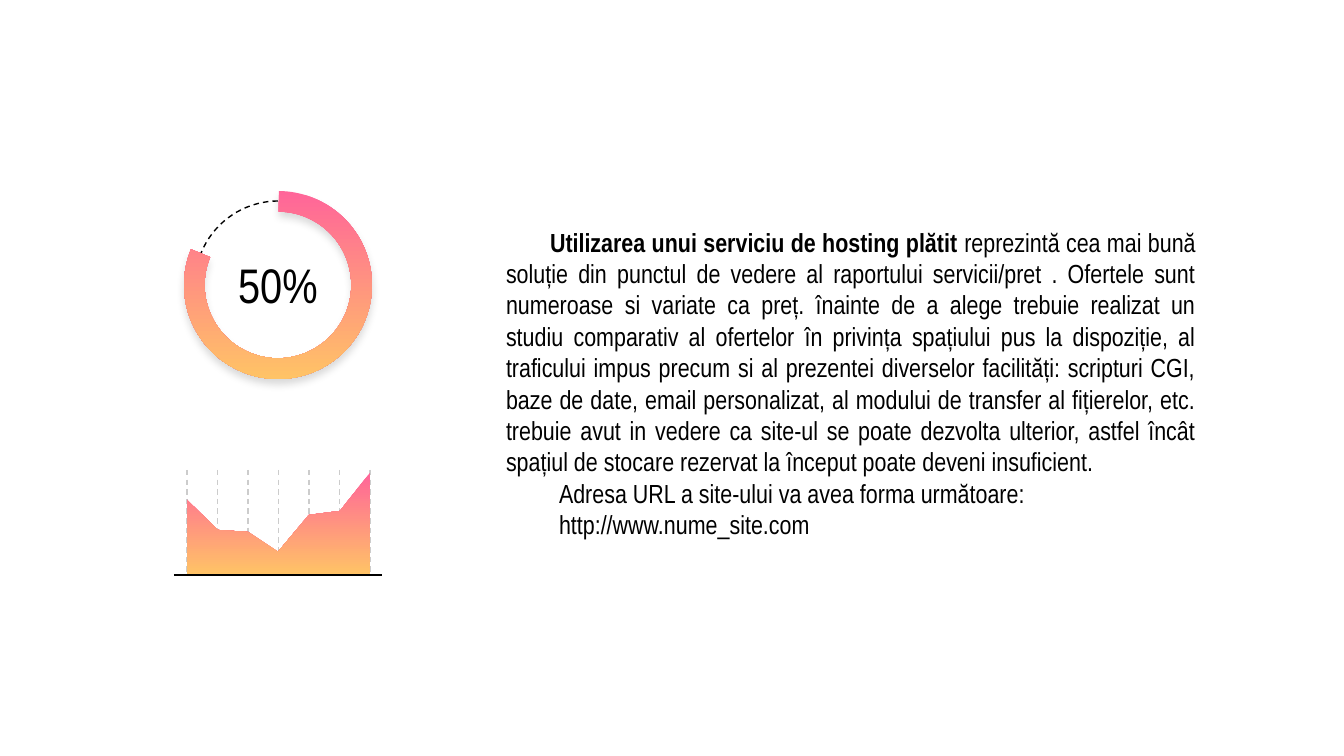
from lxml.etree import SubElement
from pptx import Presentation
from pptx.dml.color import RGBColor
from pptx.enum.dml import MSO_LINE_DASH_STYLE as DASH
from pptx.enum.shapes import MSO_CONNECTOR, MSO_SHAPE as SHAPE
from pptx.enum.text import MSO_ANCHOR as ANCHOR, MSO_AUTO_SIZE, PP_ALIGN as ALIGN
from pptx.oxml.ns import qn
from pptx.util import Pt

EMU_PER_PX = 914400 / 134.4
FONT = "Arial Narrow"
COLORS = {"ink": "000000", "grid": "CCCCCC", "top": "FF6599", "bottom": "FFC366"}
PARAGRAPHS = [
    (44, [("Utilizarea unui serviciu de hosting plătit", True),
          (" reprezintă cea mai bună soluție din punctul de vedere al raportului "
           "servicii/pret . Ofertele sunt numeroase si variate ca preț. înainte de a alege "
           "trebuie realizat un studiu comparativ al ofertelor în privința spațiului pus la "
           "dispoziție, al traficului impus precum si al prezentei diverselor facilități: "
           "scripturi CGI, baze de date, email personalizat, al modului de transfer al "
           "fițierelor, etc. trebuie avut in vedere ca site-ul se poate dezvolta ulterior, "
           "astfel încât spațiul de stocare rezervat la început poate deveni insuficient.",
           False)]),
    (53, [("Adresa URL a site-ului va avea forma următoare:", False)]),
    (53, [("http://www.nume_site.com", False)]),
]
AREA_TOPS = [500, 530, 532, 552, 515, 511, 473]
AREA_LEFT, AREA_RIGHT, GRID_TOP, BASELINE = 187, 370, 470, 575


def px(n):
    return round(n * EMU_PER_PX)


def rgb(name):
    return RGBColor.from_string(COLORS[name])


def format_run(r, size, bold=False):
    r.font.name = FONT
    r.font.size = Pt(size)
    r.font.bold = bold
    r.font.color.rgb = rgb("ink")


def format_frame(tf, bottom=13):
    tf.word_wrap = True
    tf.auto_size = MSO_AUTO_SIZE.NONE
    tf.vertical_anchor = ANCHOR.MIDDLE
    tf.margin_left = tf.margin_right = tf.margin_top = px(13)
    tf.margin_bottom = px(bottom)


def format_line(line, color, dashed=True):
    line.color.rgb = rgb(color)
    line.width = Pt(0.75)
    if dashed:
        line.dash_style = DASH.DASH


def fill_gradient(sp):
    sp.shadow.inherit = False
    sp.line.fill.background()
    sp.fill.gradient()
    sp.fill.gradient_angle = 270
    for stop, name in zip(sp.fill.gradient_stops, ("top", "bottom")):
        stop.color.rgb = rgb(name)


def add_soft_shadow(sp):
    effects = sp._element.spPr.find(qn("a:effectLst"))
    shadow = SubElement(effects, qn("a:outerShdw"), blurRad=str(Pt(4.5)),
                        dist=str(Pt(3)), dir="5400000", algn="bl", rotWithShape="0")
    color = SubElement(shadow, qn("a:srgbClr"), val=COLORS["ink"])
    SubElement(color, qn("a:alpha"), val="14000")


def add_line(shapes, x1, y1, x2, y2, color, dashed=True):
    line = shapes.add_connector(MSO_CONNECTOR.STRAIGHT, px(x1), px(y1), px(x2), px(y2))
    format_line(line.line, color, dashed)
    SubElement(line._element.spPr, qn("a:effectLst"))


def fill_body(sp):
    sp.left, sp.top, sp.width, sp.height = px(493), px(204), px(716), px(389)
    tf = sp.text_frame
    format_frame(tf, bottom=44)
    for i, (indent, runs) in enumerate(PARAGRAPHS):
        p = tf.paragraphs[0] if i == 0 else tf.add_paragraph()
        p.alignment = ALIGN.JUSTIFY
        p.space_before = p.space_after = Pt(0)
        p.line_spacing = 1.0
        pPr = p._p.get_or_add_pPr()
        pPr.set("marL", "0")
        pPr.set("indent", str(px(indent)))
        SubElement(pPr, qn("a:buNone"))
        for text, bold in runs:
            r = p.add_run()
            r.text = text
            format_run(r, 14, bold)


def add_ring(s):
    shapes = s.shapes.add_group_shape().shapes
    track = shapes.add_shape(SHAPE.OVAL, px(195), px(201), px(167), px(167))
    track.shadow.inherit = False
    track.fill.background()
    format_line(track.line, "ink")
    arc = shapes.add_shape(SHAPE.BLOCK_ARC, px(184), px(191), px(188), px(188))
    for i, value in enumerate((162.33, 121.4, 0.11)):
        arc.adjustments[i] = value
    fill_gradient(arc)
    add_soft_shadow(arc)


def add_percent(s):
    tf = s.shapes.add_textbox(px(220), px(242), px(116), px(85)).text_frame
    format_frame(tf)
    p = tf.paragraphs[0]
    p.text = "50%"
    p.alignment = ALIGN.CENTER
    format_run(p.runs[0], 26)


def add_area(s):
    shapes = s.shapes.add_group_shape().shapes
    step = (AREA_RIGHT - AREA_LEFT) / (len(AREA_TOPS) - 1)
    points = [(AREA_LEFT + i * step, y) for i, y in enumerate(AREA_TOPS)]
    for x, _ in points:
        add_line(shapes, x, GRID_TOP, x, BASELINE, "grid")
    builder = shapes.build_freeform(*points[0], scale=EMU_PER_PX)
    builder.add_line_segments(points[1:] + [(AREA_RIGHT, BASELINE), (AREA_LEFT, BASELINE)])
    fill_gradient(builder.convert_to_shape())
    add_line(shapes, 174, BASELINE, 382, BASELINE, "ink", dashed=False)


def main():
    prs = Presentation()
    prs.slide_width, prs.slide_height = px(1344), px(756)
    s = prs.slides.add_slide(prs.slide_layouts[1])
    title = s.shapes.title._element
    title.getparent().remove(title)
    fill_body(s.placeholders[1])
    add_ring(s)
    add_percent(s)
    add_area(s)
    prs.save("out.pptx")


if __name__ == "__main__":
    main()
